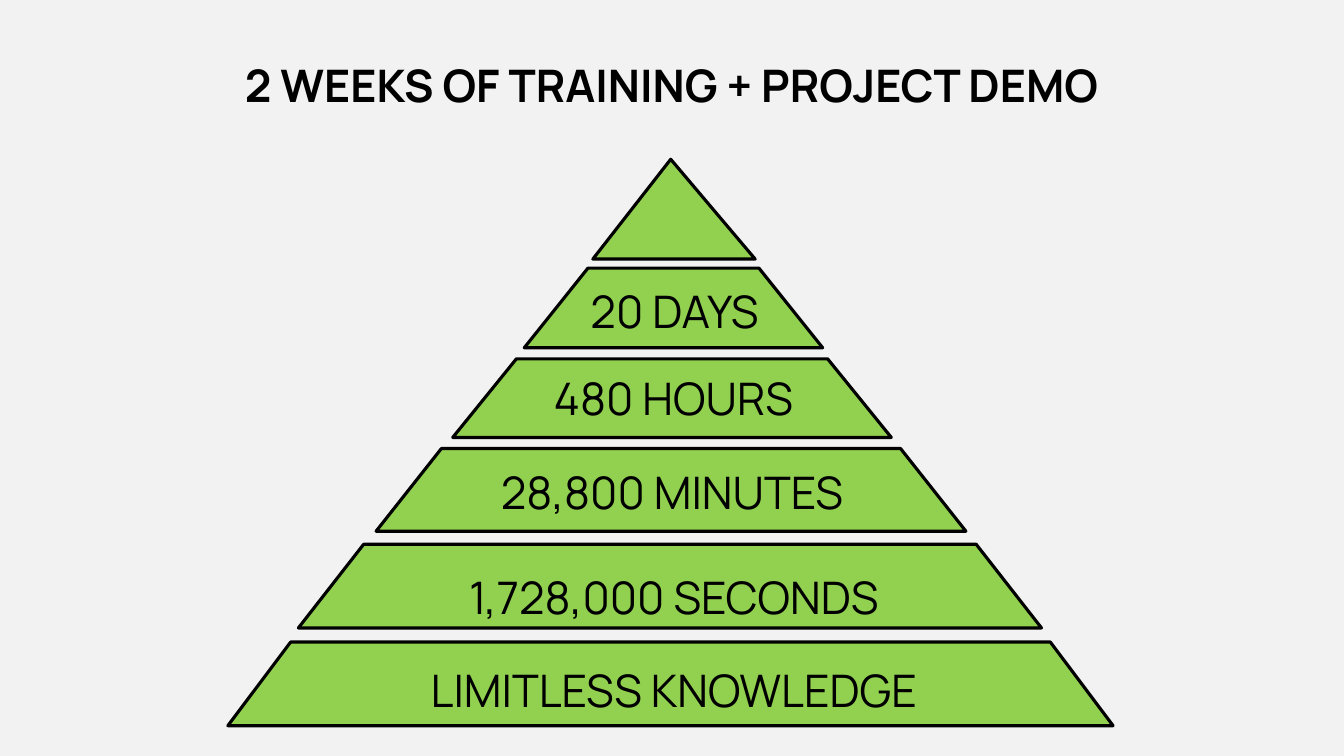
import pptx
from pptx.dml.color import RGBColor
from pptx.enum.shapes import MSO_SHAPE
from pptx.enum.text import MSO_ANCHOR, MSO_AUTO_SIZE, PP_ALIGN
from pptx.util import Inches, Pt

BACKGROUND = RGBColor(0xF2, 0xF2, 0xF2)
GREEN = RGBColor(0x92, 0xD0, 0x50)
BLACK = RGBColor(0, 0, 0)
FONT = "Manrope"

TITLE = "2 WEEKS OF TRAINING + PROJECT DEMO"
TITLE_BOX = (0, 0.24, 13.33, 1.68)
TITLE_BOTTOM_INSET = 0.53

# preset, (left, top, width, height), adjustment
TIERS = [
    (MSO_SHAPE.ISOSCELES_TRIANGLE, (5.88, 1.58, 1.61, 0.99), 0.48),
    (MSO_SHAPE.TRAPEZOID, (5.2, 2.66, 2.96, 0.79), 0.8),
    (MSO_SHAPE.TRAPEZOID, (4.49, 3.56, 4.35, 0.78), 0.81),
    (MSO_SHAPE.TRAPEZOID, (3.73, 4.45, 5.85, 0.82), 0.79),
    (MSO_SHAPE.TRAPEZOID, (2.96, 5.4, 7.37, 0.83), 0.78),
    (MSO_SHAPE.TRAPEZOID, (2.26, 6.37, 8.78, 0.83), 0.75),
]
# text, box, filled
SMALL_LABELS = [
    ("20 DAYS", (5.48, 2.77, 2.42, 0.64), False),
    ("480 HOURS", (5.2, 3.63, 2.96, 0.64), True),
    ("28,800 MINUTES", (4.49, 4.56, 4.35, 0.64), True),
]
WIDE_LABELS = [
    ("1,728,000 SECONDS", (1.79, 5.2, 9.79, 1.38)),
    ("LIMITLESS KNOWLEDGE", (1.79, 6.12, 9.79, 1.38)),
]


def add_green_shape(s, preset, box):
    sp = s.shapes.add_shape(preset, *map(Inches, box))
    sp.shadow.inherit = False
    sp.fill.solid()
    sp.fill.fore_color.rgb = GREEN
    return sp


def set_text(sp, text, bold=False):
    tf = sp.text_frame
    tf.word_wrap = True
    tf.vertical_anchor = MSO_ANCHOR.TOP
    p = tf.paragraphs[0]
    p.text = text
    p.alignment = PP_ALIGN.CENTER
    p.font.name = FONT
    p.font.size = Pt(32)
    p.font.bold = bold
    p.font.color.rgb = BLACK
    return tf


def add_middle_text(s, text, box, bold=False, bottom=0):
    """Vertically centred text without side insets."""
    tf = set_text(s.shapes.add_textbox(*map(Inches, box)), text, bold)
    tf.margin_left = tf.margin_right = tf.margin_top = 0
    tf.margin_bottom = Inches(bottom)
    tf.vertical_anchor = MSO_ANCHOR.MIDDLE
    tf.paragraphs[0].line_spacing = 1.1


def main():
    prs = pptx.Presentation()
    prs.slide_width, prs.slide_height = Inches(13.33), Inches(7.5)
    s = prs.slides.add_slide(prs.slide_layouts[6])
    s.background.fill.solid()
    s.background.fill.fore_color.rgb = BACKGROUND

    add_middle_text(s, TITLE, TITLE_BOX, bold=True, bottom=TITLE_BOTTOM_INSET)

    for preset, box, adjustment in TIERS:
        sp = add_green_shape(s, preset, box)
        sp.adjustments[0] = adjustment
        sp.line.color.rgb = BLACK
        sp.line.width = Pt(2.25)

    for text, box, filled in SMALL_LABELS:
        if filled:
            sp = add_green_shape(s, MSO_SHAPE.RECTANGLE, box)
            sp.line.fill.background()
        else:
            sp = s.shapes.add_textbox(*map(Inches, box))
        set_text(sp, text).auto_size = MSO_AUTO_SIZE.SHAPE_TO_FIT_TEXT

    for text, box in WIDE_LABELS:
        add_middle_text(s, text, box)

    prs.save("out.pptx")


if __name__ == "__main__":
    main()
